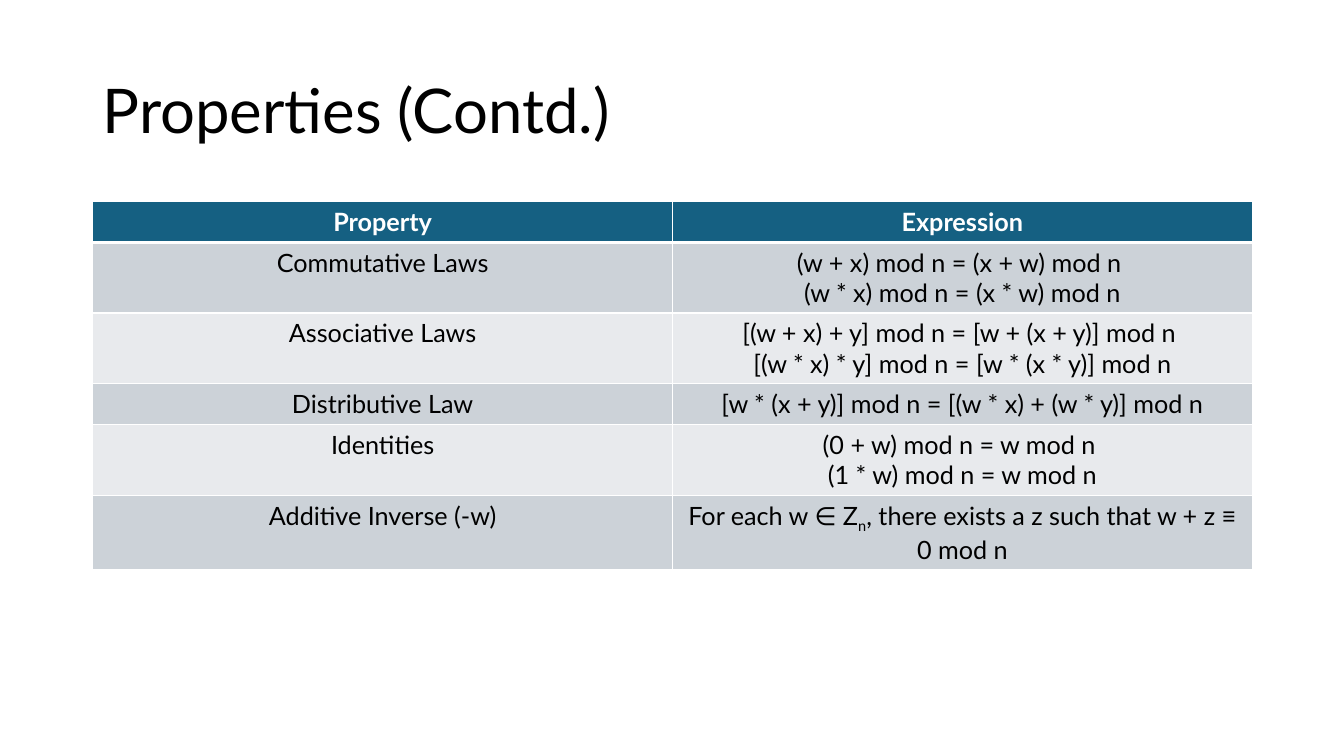
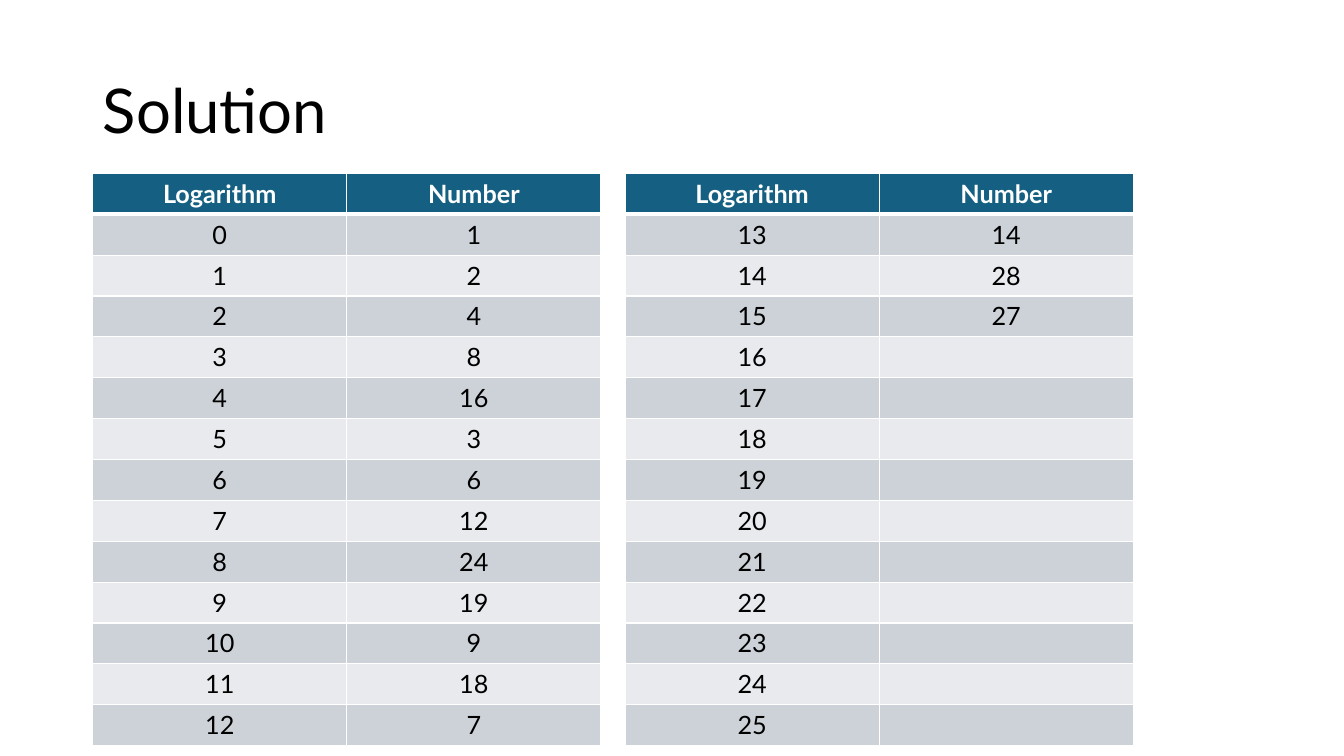
import pptx
import pptx.dml.color
import pptx.enum.text
import pptx.oxml
import pptx.oxml.ns
import pptx.util
from pptx.util import Inches

FONT = "Lato"
BLACK, WHITE = "000000", "FFFFFF"
HEADER_FILL = "156082"
BAND_FILLS = ("E8EAED", "CCD2D8")
TITLE_FORMAT = {"name": FONT, "size": pptx.util.Pt(44), "bold": False}
CELL_FORMAT = {"name": FONT, "size": pptx.util.Pt(18)}
LEFT = 0.92
ROW_HEIGHT = 5.68 / 14

LAWS = [
    ("Property", "Expression"),
    ("Commutative Laws",
     "(w + x) mod n = (x + w) mod n \n(w * x) mod n = (x * w) mod n"),
    ("Associative Laws",
     "[(w + x) + y] mod n = [w + (x + y)] mod n \n"
     "[(w * x) * y] mod n = [w * (x * y)] mod n"),
    ("Distributive Law", "[w * (x + y)] mod n = [(w * x) + (w * y)] mod n"),
    ("Identities", "(0 + w) mod n = w mod n \n(1 * w) mod n = w mod n"),
    ("Additive Inverse (-w)",
     "For each w ∈ Z_n_, there exists a z such that w + z ≡ 0 mod n"),
]
LOG_HEADER = ("Logarithm", "Number")
NUMBERS = [1, 2, 4, 8, 16, 3, 6, 12, 24, 19, 9, 18, 7, 14, 28, 27]
LOG_COUNT = 26
LOGS_PER_TABLE = 13


def rgb(value):
    return pptx.dml.color.RGBColor.from_string(value)


def format_font(font, values, color):
    for name, value in values.items():
        setattr(font, name, value)
    font.color.rgb = rgb(color)


def add_titled_slide(prs, title):
    s = prs.slides.add_slide(prs.slide_layouts[5])
    sp = s.shapes.title
    sp.left, sp.top, sp.width, sp.height = map(Inches, (LEFT, 0.4, 11.5, 1.45))
    tf = sp.text_frame
    tf.text = title
    tf.auto_size = pptx.enum.text.MSO_AUTO_SIZE.NONE
    tf.vertical_anchor = pptx.enum.text.MSO_ANCHOR.MIDDLE
    p = tf.paragraphs[0]
    p.alignment = pptx.enum.text.PP_ALIGN.LEFT
    p.line_spacing = 0.9
    format_font(p.runs[0].font, TITLE_FORMAT, BLACK)
    return s


def write_cell(cell, text, color, bold):
    """Write one paragraph per line; text between underscores is subscript."""
    tf = cell.text_frame
    for i, line in enumerate(text.split("\n")):
        p = tf.add_paragraph() if i else tf.paragraphs[0]
        p.alignment = pptx.enum.text.PP_ALIGN.CENTER
        format_font(p.font, CELL_FORMAT, color)
        if not line:
            continue
        for j, part in enumerate(line.split("_")):
            r = p.add_run()
            r.text = part
            format_font(r.font, {**CELL_FORMAT, "bold": bold}, color)
            if j % 2:
                r._r.get_or_add_rPr().set("baseline", "-25000")


def set_borders(cell, top, bottom):
    """Draw white borders, 1 pt at the sides; they must precede the fill."""
    tc_pr = cell._tc.get_or_add_tcPr()
    sides = {"lnL": 1, "lnR": 1, "lnT": top, "lnB": bottom}
    for i, (tag, points) in enumerate(sides.items()):
        tc_pr.insert(i, pptx.oxml.parse_xml(
            f'<a:{tag} {pptx.oxml.ns.nsdecls("a")} w="{pptx.util.Pt(points)}">'
            f'<a:solidFill><a:srgbClr val="{WHITE}"/></a:solidFill></a:{tag}>'))


def add_banded_table(s, rows, left, top, width):
    table = s.shapes.add_table(
        len(rows), len(rows[0]), Inches(left), Inches(top),
        Inches(width), Inches(ROW_HEIGHT * len(rows))).table
    table.horz_banding = False
    for i, row in enumerate(rows):
        header = i == 0
        for j, text in enumerate(row):
            cell = table.cell(i, j)
            cell.fill.solid()
            cell.fill.fore_color.rgb = rgb(HEADER_FILL if header else BAND_FILLS[i % 2])
            set_borders(cell, top=3 if i == 1 else 1, bottom=3 if header else 1)
            write_cell(cell, text, WHITE if header else BLACK, header)


def add_properties_slide(prs):
    s = add_titled_slide(prs, "Properties (Contd.)")
    add_banded_table(s, LAWS, LEFT, 2, 11.5)


def add_solution_slide(prs):
    s = add_titled_slide(prs, "Solution")
    numbers = [str(n) for n in NUMBERS] + [""] * (LOG_COUNT - len(NUMBERS))
    logs = [(str(i), number) for i, number in enumerate(numbers)]
    for i, left in enumerate((LEFT, 6.2)):
        start = i * LOGS_PER_TABLE
        rows = [LOG_HEADER] + logs[start:start + LOGS_PER_TABLE]
        add_banded_table(s, rows, left, 1.72, 5.04)


def main():
    prs = pptx.Presentation()
    prs.slide_width, prs.slide_height = Inches(13.33), Inches(7.5)
    add_properties_slide(prs)
    add_solution_slide(prs)
    prs.save("out.pptx")


if __name__ == "__main__":
    main()
